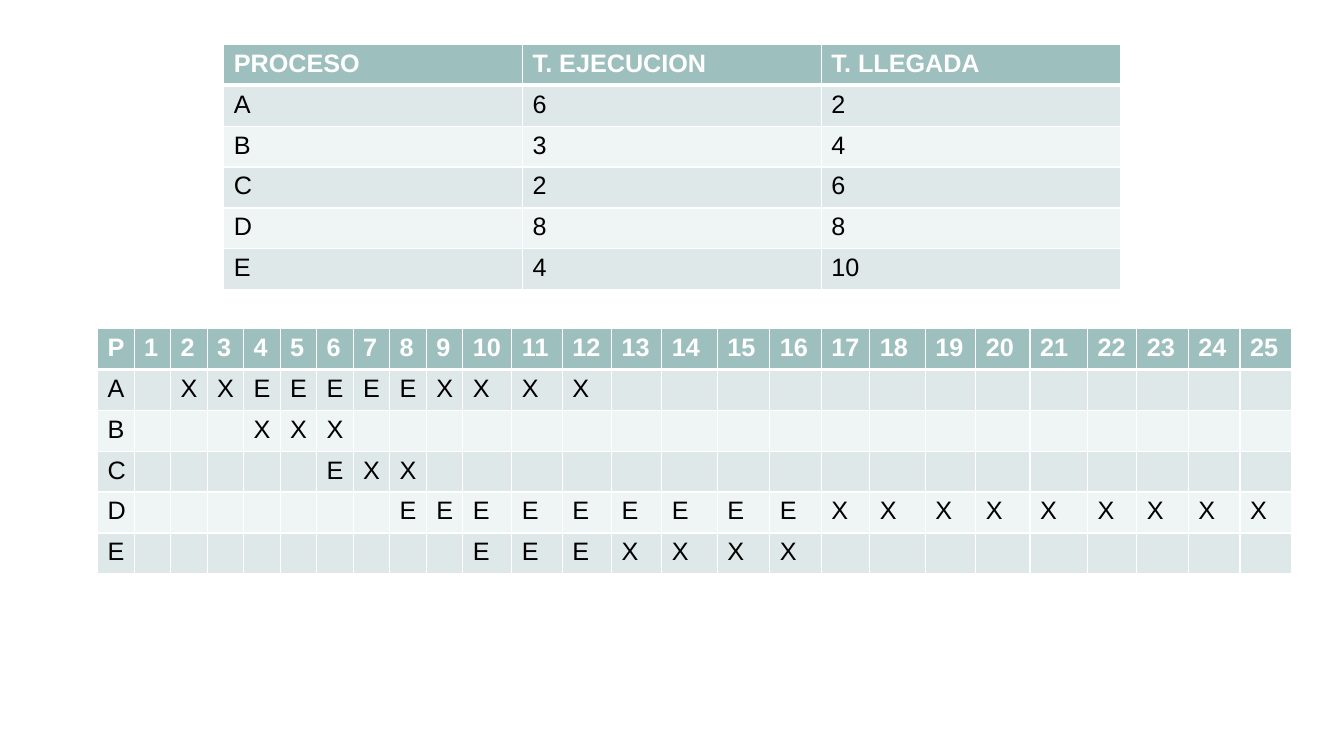
from dataclasses import dataclass

from lxml.etree import SubElement
from pptx import Presentation
from pptx.dml.color import RGBColor
from pptx.oxml.ns import qn
from pptx.slide import Slide
from pptx.table import _Cell as Cell
from pptx.util import Cm, Pt

WHITE = RGBColor(0xFF, 0xFF, 0xFF)
BLACK = RGBColor(0x00, 0x00, 0x00)
TEAL = RGBColor(0x9D, 0xBF, 0xBE)
BAND_DARK = RGBColor(0xDF, 0xE8, 0xE8)
BAND_LIGHT = RGBColor(0xEF, 0xF4, 0xF4)

BLANK_LAYOUT = 6
ROW_HEIGHT = 1.03
THIN, THICK = Pt(1), Pt(3)
LAST_TIME = 25


@dataclass
class Process:
    name: str
    duration: int
    arrival: int
    timeline: str  # one letter per time unit from arrival: E waits, X runs

    def timeline_row(self) -> list[str]:
        marks = " " * (self.arrival - 1) + self.timeline
        return [self.name] + [mark.strip() for mark in marks.ljust(LAST_TIME)]


@dataclass
class TableSpec:
    left: float
    top: float
    widths: list[float]
    rows: list[list[str]]


PROCESSES = [
    Process("A", 6, 2, "XX" + "E" * 5 + "X" * 4),
    Process("B", 3, 4, "XXX"),
    Process("C", 2, 6, "EXX"),
    Process("D", 8, 8, "E" * 9 + "X" * 9),
    Process("E", 4, 10, "EEEXXXX"),
]

# Process list: name, execution time, arrival time
PROCESS_TABLE = TableSpec(
    left=5.64, top=1.12, widths=[7.53] * 3,
    rows=[["PROCESO", "T. EJECUCION", "T. LLEGADA"]]
    + [[p.name, str(p.duration), str(p.arrival)] for p in PROCESSES],
)

# Timeline: one column per time unit
TIMELINE_TABLE = TableSpec(
    left=2.46, top=8.28,
    widths=[0.92] * 10 + [1.24, 1.27, 1.24, 1.27, 1.4, 1.32, 1.3, 1.22,
                          1.4, 1.27, 1.37, 1.45, 1.24, 1.3, 1.3, 1.3],
    rows=[["P"] + [str(time) for time in range(1, LAST_TIME + 1)]]
    + [p.timeline_row() for p in PROCESSES],
)


def set_borders(cell: Cell, top: int, bottom: int) -> None:
    properties = cell._tc.get_or_add_tcPr()
    for side, width in (("L", THIN), ("R", THIN), ("T", top), ("B", bottom)):
        line = SubElement(properties, qn(f"a:ln{side}"), w=str(width))
        fill = SubElement(line, qn("a:solidFill"))
        SubElement(fill, qn("a:srgbClr"), val=str(WHITE))


def format_cell(cell: Cell, text: str, row: int) -> None:
    is_header = row == 0
    # Borders come before the fill in the cell properties
    set_borders(cell, top=THICK if row == 1 else THIN,
                bottom=THICK if is_header else THIN)
    cell.fill.solid()
    band = BAND_DARK if row % 2 else BAND_LIGHT
    cell.fill.fore_color.rgb = TEAL if is_header else band
    cell.text = text
    font = cell.text_frame.paragraphs[0].font
    font.name = "Arial"
    font.size = Pt(18)
    font.bold = is_header
    font.color.rgb = WHITE if is_header else BLACK


def draw_table(slide: Slide, spec: TableSpec) -> None:
    row_count = len(spec.rows)
    table = slide.shapes.add_table(
        row_count, len(spec.widths), Cm(spec.left), Cm(spec.top),
        Cm(sum(spec.widths)), Cm(ROW_HEIGHT * row_count),
    ).table
    table.horz_banding = False
    for column, width in zip(table.columns, spec.widths):
        column.width = Cm(width)
    for row, texts in enumerate(spec.rows):
        table.rows[row].height = Cm(ROW_HEIGHT)
        for column, text in enumerate(texts):
            format_cell(table.cell(row, column), text, row)


def main() -> None:
    presentation = Presentation()
    presentation.slide_width = Cm(33.87)
    presentation.slide_height = Cm(19.05)
    slide = presentation.slides.add_slide(presentation.slide_layouts[BLANK_LAYOUT])
    for spec in (PROCESS_TABLE, TIMELINE_TABLE):
        draw_table(slide, spec)
    presentation.save("out.pptx")


if __name__ == "__main__":
    main()
